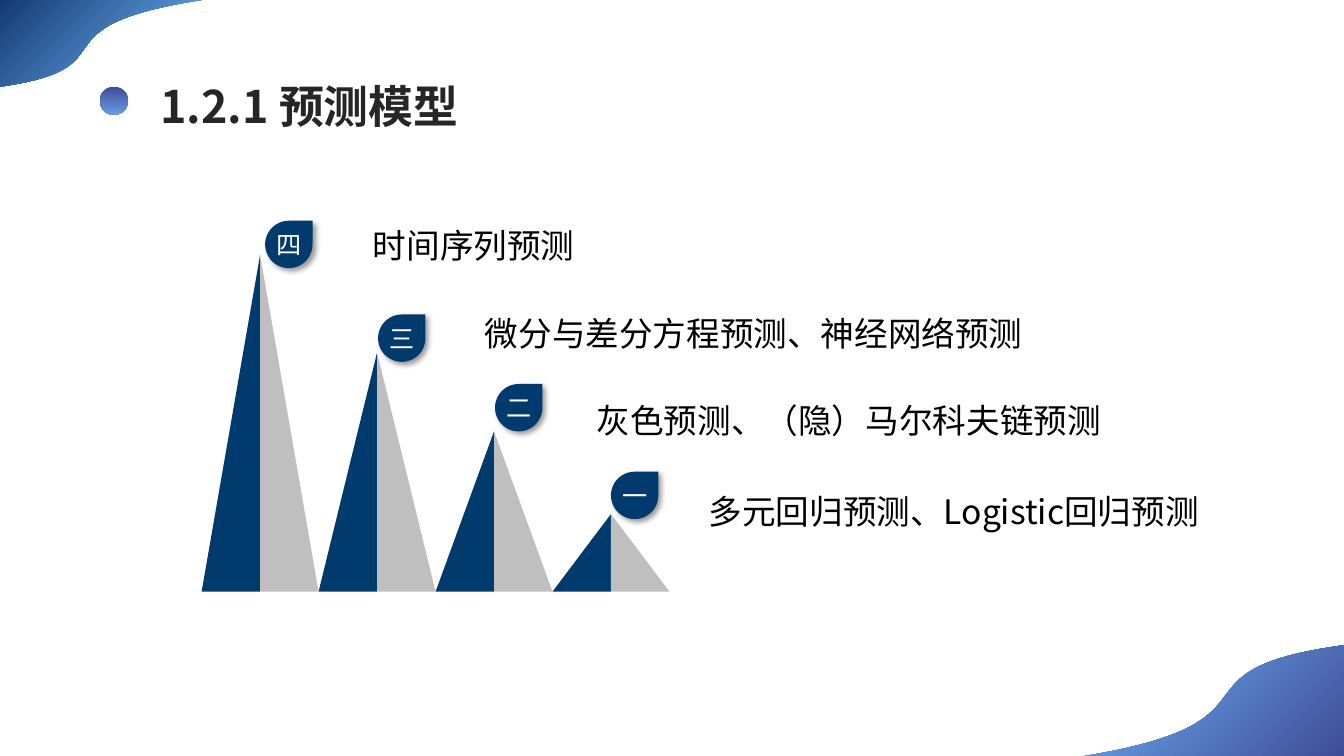
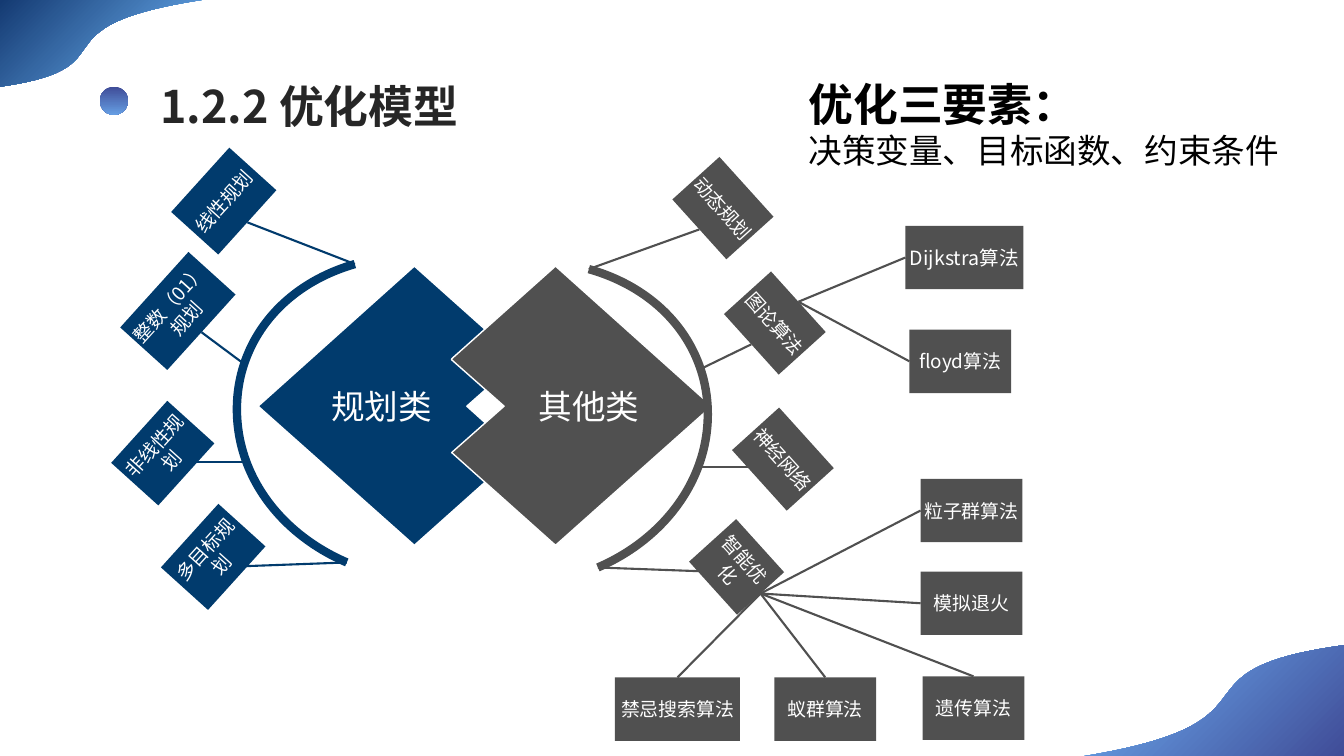
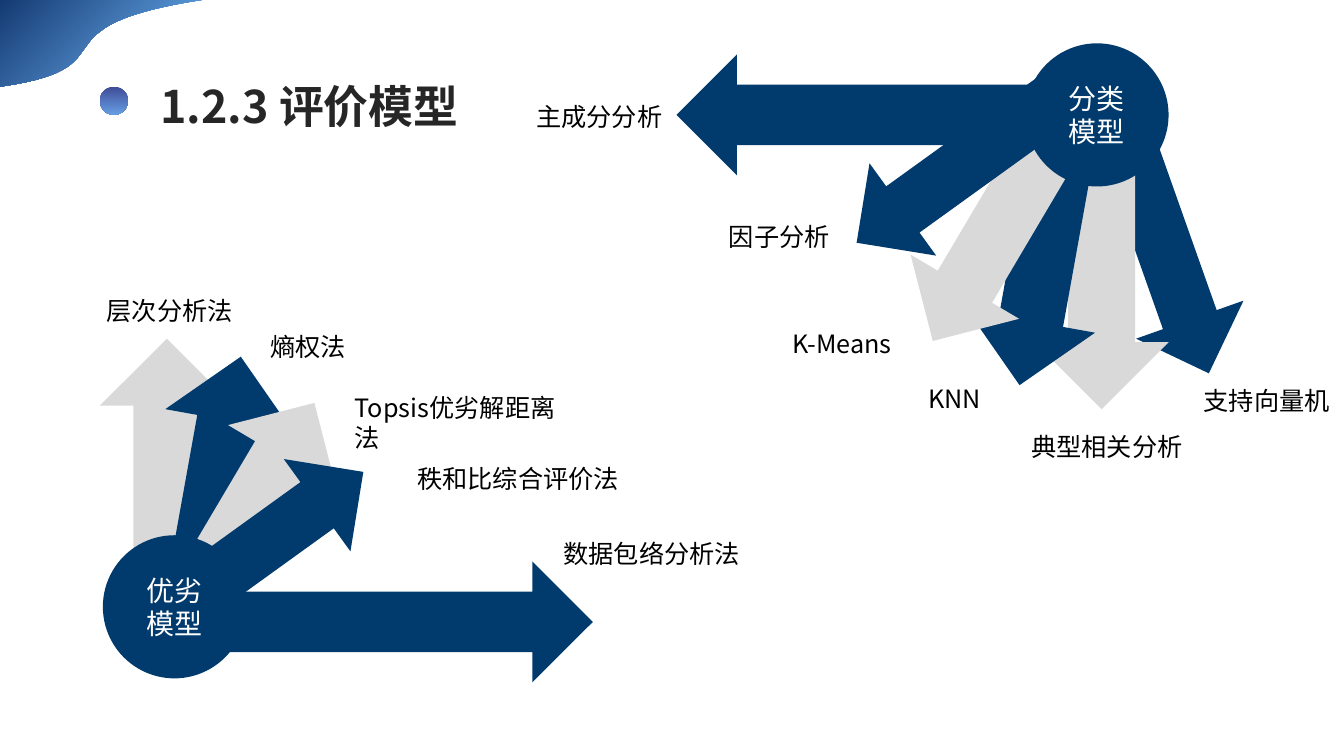
from math import cos, radians, sin

from lxml.etree import SubElement
from pptx import Presentation
from pptx.dml.color import RGBColor
from pptx.enum.shapes import MSO_CONNECTOR, MSO_SHAPE as SHAPE
from pptx.enum.text import MSO_ANCHOR as ANCHOR, MSO_AUTO_SIZE, PP_ALIGN as ALIGN
from pptx.oxml.ns import qn
from pptx.util import Inches, Pt

# Shared look
FONT = "Noto Sans CJK SC"
COLOURS = {
    "navy": "013B6D", "grey": "505050", "silver": "BFBFBF", "pale": "D9D9D9",
    "white": "FFFFFF", "black": "000000", "title": "262626",
    "bullet_top": "3F4C97", "bullet_bottom": "669EE3",
    "corner_light": "73BAFD", "corner_top": "143A72", "corner_bottom": "3F4B96",
}
TITLE_BOX = (1.49, 0.73, 4.2, 0.52)
BULLET_BOX = (0.99, 0.86, 0.28, 0.28)
TOP, LEFT, BOTTOM, RIGHT = 0, 1, 2, 3

# Corner waves: a straight edge, then a curve; end colour, gradient angle
TOP_CORNER = ([(0, 0), (2, 0), (0.26, 0.27), (1.35, 0.67), (0, 0.86)],
              "corner_top", 135)
BOTTOM_CORNER = ([(13.34, 7.54), (10.5, 7.54), (12.97, 7.19), (11.42, 6.66),
                  (13.34, 6.4)], "corner_bottom", 315)

# Slide 1: peak height, badge, badge place, label, label top, label width
PEAKS = [
    (3.34, "四", (2.63, 2.19), "时间序列预测", 2.18, 2.22),
    (2.37, "三", (3.75, 3.12), "微分与差分方程预测、神经网络预测", 3.06, 5.59),
    (1.59, "二", (4.91, 3.81), "灰色预测、（隐）马尔科夫链预测", 3.92, 5.25),
    (0.77, "一", (6.06, 4.68), "多元回归预测、Logistic回归预测", 4.82, 5.16),
]
PEAK_LEFT, PEAK_STEP, PEAK_HALF, PEAK_BASE = 2, 1.16, 0.58, 5.87
LABEL_LEFT, LABEL_STEP = 3.6, 1.11

# Slide 2: outline, insets (left, right), arc, turn, then for each node
# text, box left, top, width, line start (None: middle of the lower side), line end
ELEMENTS = [("优化三要素：", 32, True), ("决策变量、目标函数、约束条件", 24, False)]
NODE_HEIGHT = 0.63
CLASSES = [
    {"name": "规划类", "colour": "navy", "insets": (0.1, 0.24), "turn": 312.1,
     "outline": [(4.11, 2.64), (5.15, 3.57), (4.63, 4.03), (5.14, 4.49),
                 (4.11, 5.41), (2.56, 4.03)],
     "arc": [(3.44, 5.58), (2.79, 5.3), (2.35, 4.73), (2.35, 4.06),
             (2.35, 3.4), (2.79, 2.83), (3.52, 2.62)],
     "nodes": [("线性规划", 1.79, 1.68, 0.86, None, (3.52, 2.62)),
               ("整数（01）规划", 1.26, 2.77, 1.01, None, (2.42, 3.61)),
               ("非线性规划", 1.2, 4.18, 0.83, (1.77, 4.58), (2.43, 4.58)),
               ("多目标规划", 1.69, 5.21, 0.85, (2.35, 5.62), (3.44, 5.58))]},
    {"name": "其他类", "colour": "grey", "insets": (0.24, 0.1), "turn": 47.9,
     "outline": [(5.51, 2.64), (7.06, 4.03), (5.51, 5.41), (4.48, 4.49),
                 (5, 4.03), (4.48, 3.57), (4.48, 3.56)],
     "arc": [(5.93, 5.63), (6.58, 5.35), (7.02, 4.77), (7.02, 4.11),
             (7.02, 3.45), (6.58, 2.88), (5.84, 2.67)],
     "nodes": [("动态规划", 6.77, 1.75, 0.8, None, (5.84, 2.67)),
               ("图论算法", 7.28, 2.89, 0.81, None, (6.95, 3.66)),
               ("神经网络", 7.36, 4.24, 0.81, (7.6, 4.63), (6.94, 4.63)),
               ("智能优化", 6.95, 5.31, 0.71, (7.02, 5.67), (5.93, 5.63))]},
]
# Algorithm, left, top, width, size, side met, parent node, parent side
ALGORITHMS = [
    ("Dijkstra算法", 8.98, 2.24, 1.17, 14, LEFT, "图论算法", TOP),
    ("floyd算法", 9.02, 3.27, 1.01, 13.5, LEFT, "图论算法", TOP),
    ("粒子群算法", 9.13, 4.75, 1.01, 13.5, LEFT, "智能优化", RIGHT),
    ("模拟退火", 9.13, 5.67, 1.01, 13.5, LEFT, "智能优化", RIGHT),
    ("遗传算法", 9.15, 6.71, 1.01, 13.5, TOP, "智能优化", RIGHT),
    ("蚁群算法", 7.68, 6.72, 1.01, 13.5, TOP, "智能优化", RIGHT),
    ("禁忌搜索算法", 6.1, 6.72, 1.24, 13.5, TOP, "智能优化", RIGHT),
]

# Slide 3: arrow turn, width, height, colour; a fan uses the last ones
ARROWS = [(-19.5, 1.13, 2.66, "navy"), (0, 1.33, 2.41, "pale"),
          (10.2, 1.29, 2.41, "navy"), (30.6, 1.25, 2.41, "pale"),
          (54.2, 1.13, 2.66, "navy"), (90, 1.2, 4.1, "navy")]
FANS = [
    {"name": "优劣模型", "hub": (1.02, 5.31), "turn": 0,
     "places": [(0.99, 3.36), (1.53, 3.52), (1.88, 3.83), (1.96, 4.13), (3.23, 4.12)],
     "labels": [("层次分析法", 0.96, 2.88, 1.46), ("熵权法", 2.58, 3.24, 0.96),
                ("Topsis优劣解距离法", 3.42, 3.84, 2.4),
                ("秩和比综合评价法", 4.04, 4.55, 2.22),
                ("数据包络分析法", 5.49, 5.29, 1.97)]},
    {"name": "分类模型", "hub": (10.17, 0.43), "turn": 180,
     "places": [(10.98, 1.12), (10.26, 1.65), (9.68, 1.43), (9.24, 1.14),
                (9.01, 0.3), (8.16, -0.91)],
     "labels": [("主成分分析", 5.22, 0.96, 1.46), ("因子分析", 7.13, 2.15, 1.21),
                ("K-Means", 7.76, 3.21, 1.27), ("KNN", 9.11, 3.75, 0.77),
                ("典型相关分析", 10.13, 4.23, 1.72), ("支持向量机", 11.84, 3.77, 1.46)]},
]
WRAPPED_LABELS = {"多元回归预测、Logistic回归预测", "Topsis优劣解距离法"}

# Text frame formats
NO_INSETS = dict.fromkeys(
    ("margin_left", "margin_top", "margin_right", "margin_bottom"), 0)
CENTRED = {"word_wrap": True, "vertical_anchor": ANCHOR.MIDDLE}
TITLE_FRAME = {"word_wrap": True, "vertical_anchor": ANCHOR.TOP,
               "auto_size": MSO_AUTO_SIZE.NONE}


def rgb(name):
    return RGBColor.from_string(COLOURS[name])


def apply(target, values):
    for name, value in values.items():
        setattr(target, name, value)


def write(frame, lines, colour, align, font=FONT, **frame_format):
    """Fill a text frame with (text, size, bold) lines."""
    apply(frame, frame_format)
    for index, (text, size, bold) in enumerate(lines):
        paragraph = frame.paragraphs[0] if index == 0 else frame.add_paragraph()
        paragraph.alignment = align
        run = paragraph.add_run()
        run.text = text
        apply(run.font, {"name": font, "size": Pt(size), "bold": bold})
        run.font.color.rgb = rgb(colour)
        SubElement(run.font._element, qn("a:ea"), typeface=FONT)


def paint(shape, fill=None, line=None, width=1):
    shape.shadow.inherit = False
    if fill:
        shape.fill.solid()
        shape.fill.fore_color.rgb = rgb(fill)
    else:
        shape.fill.background()
    if line:
        shape.line.color.rgb = rgb(line)
        shape.line.width = Pt(width)
    else:
        shape.line.fill.background()


def paint_gradient(shape, start, end, angle):
    paint(shape)
    shape.fill.gradient()
    shape.fill.gradient_angle = angle
    for stop, position, name in zip(shape.fill.gradient_stops, (0, 1), (start, end)):
        stop.position = position
        stop.color.rgb = rgb(name)


def add_shape(slide, kind, box, fill, turn=0):
    shape = slide.shapes.add_shape(kind, *map(Inches, box))
    shape.rotation = turn
    paint(shape, fill)
    return shape


def add_label(slide, lines, box, wrap=False):
    label = slide.shapes.add_textbox(*map(Inches, box))
    write(label.text_frame, lines, "black", ALIGN.LEFT, word_wrap=wrap)


def add_outline(slide, points, close=True, curve_start=None):
    """Draw straight segments; from curve_start on, every three points are a curve."""
    points = [(Inches(x), Inches(y)) for x, y in points]
    builder = slide.shapes.build_freeform(*points[0])
    builder.add_line_segments(points[1:], close=close)
    shape = builder.convert_to_shape()
    if curve_start is not None:
        outline = next(shape._element.iter(qn("a:path")))
        segments = outline.findall(qn("a:lnTo"))[curve_start:]
        for first in range(0, len(segments), 3):
            bend = SubElement(outline, qn("a:cubicBezTo"))
            segments[first].addprevious(bend)
            for segment in segments[first:first + 3]:
                bend.append(segment[0])
                outline.remove(segment)
    return shape


def add_line(slide, start, end, colour):
    connector = slide.shapes.add_connector(
        MSO_CONNECTOR.STRAIGHT, *map(Inches, (*start, *end)))
    connector.line.color.rgb = rgb(colour)
    connector.line.width = Pt(1.5)
    SubElement(connector._element.spPr, qn("a:effectLst"))
    return connector


def join_begin(connector, box, side):
    """Join to the middle of a side, allowing for the turn of the box."""
    connector.begin_connect(box, side)
    x, y = {TOP: (0, -box.height / 2), LEFT: (-box.width / 2, 0),
            BOTTOM: (0, box.height / 2), RIGHT: (box.width / 2, 0)}[side]
    angle = radians(box.rotation)
    connector.begin_x = round(box.left + box.width / 2 + x * cos(angle) - y * sin(angle))
    connector.begin_y = round(box.top + box.height / 2 + x * sin(angle) + y * cos(angle))


def add_node(slide, text, box, size, fill, turn=0):
    node = add_shape(slide, SHAPE.RECTANGLE, box, fill, turn)
    write(node.text_frame, [(text, size, False)], "white", ALIGN.CENTER,
          **CENTRED, **NO_INSETS)
    return node


def new_slide(presentation, title, corners):
    slide = presentation.slides.add_slide(presentation.slide_layouts[5])
    heading = slide.shapes.title
    apply(heading, dict(zip(("left", "top", "width", "height"), map(Inches, TITLE_BOX))))
    write(heading.text_frame, [(title, 32, True)], "title", ALIGN.LEFT, **TITLE_FRAME)
    bullet = add_shape(slide, SHAPE.OVAL, BULLET_BOX, "navy")
    paint_gradient(bullet, "bullet_top", "bullet_bottom", 270)
    for points, end_colour, angle in corners:
        wave = add_outline(slide, points, curve_start=1)
        paint_gradient(wave, "corner_light", end_colour, angle)
    return slide


def add_badge_shadow(shape):
    effects = shape._element.spPr.find(qn("a:effectLst"))
    shadow = SubElement(effects, qn("a:outerShdw"), blurRad=str(Pt(4)), dist=str(Pt(3)),
                        dir="2700000", algn="tl", rotWithShape="0")
    colour = SubElement(shadow, qn("a:srgbClr"), val=COLOURS["black"])
    SubElement(colour, qn("a:alpha"), val="40000")


def build_prediction(presentation):
    slide = new_slide(presentation, "1.2.1 预测模型", [BOTTOM_CORNER, TOP_CORNER])
    for index, (height, number, place, text, top, width) in enumerate(PEAKS):
        left = PEAK_LEFT + index * PEAK_STEP
        for side, fill in enumerate(("navy", "silver")):
            box = (left + side * PEAK_HALF, PEAK_BASE - height, PEAK_HALF, height)
            half = add_shape(slide, SHAPE.RIGHT_TRIANGLE, box, fill)
            if side == 0:
                half._element.spPr.xfrm.set("flipH", "1")
        badge = add_shape(slide, SHAPE.TEAR, (*place, 0.47, 0.47), "navy")
        add_badge_shadow(badge)
        write(badge.text_frame, [(number, 18, False)], "white", ALIGN.CENTER,
              **CENTRED, **NO_INSETS)
        add_label(slide, [(text, 24, False)],
                  (LABEL_LEFT + index * LABEL_STEP, top, width, 0.5),
                  text in WRAPPED_LABELS)


def build_optimisation(presentation):
    slide = new_slide(presentation, "1.2.2 优化模型", [BOTTOM_CORNER, TOP_CORNER])
    add_label(slide, ELEMENTS, (7.92, 0.71, 5.32, 1.04), True)
    nodes = {}
    for group in CLASSES:
        colour = group["colour"]
        block = add_outline(slide, group["outline"])
        paint(block, colour, "white")
        left, right = map(Inches, group["insets"])
        write(block.text_frame, [(group["name"], 24, False)], "white", ALIGN.CENTER,
              margin_left=left, margin_right=right, **CENTRED)
        for text, left, top, width, start, end in group["nodes"]:
            connector = add_line(slide, start or (left, top), end, colour)
            nodes[text] = add_node(slide, text, (left, top, width, NODE_HEIGHT),
                                   13.5, colour, group["turn"])
            if start is None:
                join_begin(connector, nodes[text], BOTTOM)
        arc = add_outline(slide, group["arc"], close=False, curve_start=0)
        paint(arc, None, colour, 6)
    for text, left, top, width, size, side, parent, parent_side in ALGORITHMS:
        box = add_node(slide, text, (left, top, width, NODE_HEIGHT), size, "grey")
        connector = add_line(slide, (left, top), (left, top), "grey")
        join_begin(connector, nodes[parent], parent_side)
        connector.end_connect(box, side)


def build_evaluation(presentation):
    slide = new_slide(presentation, "1.2.3 评价模型", [TOP_CORNER])
    for fan in FANS:
        arrows = ARROWS[-len(fan["places"]):]
        for place, (turn, width, height, fill) in zip(fan["places"], arrows):
            add_shape(slide, SHAPE.UP_ARROW, (*place, width, height), fill,
                      fan["turn"] + turn)
        hub = add_shape(slide, SHAPE.OVAL, (*fan["hub"], 1.42, 1.42), "navy")
        write(hub.text_frame, [(fan["name"], 20, False)], "white", ALIGN.CENTER,
              font="Calibri", **CENTRED)
        for text, left, top, width in fan["labels"]:
            add_label(slide, [(text, 18, False)], (left, top, width, 0.4),
                      text in WRAPPED_LABELS)


def main():
    presentation = Presentation()
    presentation.slide_width = Inches(13.33)
    presentation.slide_height = Inches(7.5)
    build_prediction(presentation)
    build_optimisation(presentation)
    build_evaluation(presentation)
    presentation.save("out.pptx")


if __name__ == "__main__":
    main()
